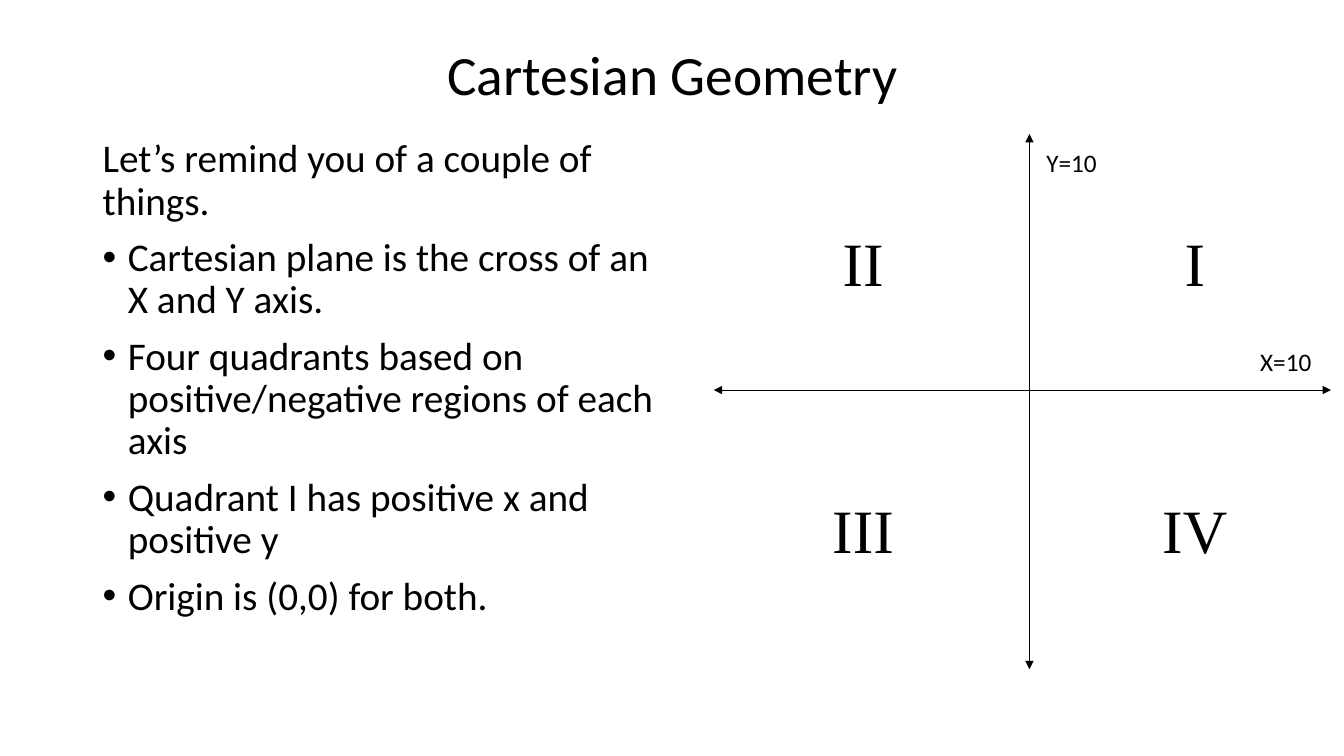
from dataclasses import dataclass

from lxml import etree
from pptx import Presentation
from pptx import util as u
from pptx.dml import color
from pptx.enum import shapes, text
from pptx.oxml import ns


@dataclass(frozen=True)
class Theme:
    ink: color.RGBColor = color.RGBColor(0, 0, 0)
    body_font: str = "Calibri"
    numeral_font: str = "Times New Roman"
    title_size: float = 39.6
    body_size: float = 28
    numeral_size: float = 44
    label_size: float = 18
    axis_width: float = 0.5


@dataclass(frozen=True)
class Label:
    words: str
    left: float
    top: float


@dataclass(frozen=True)
class Axis:
    start: tuple[float, float]
    end: tuple[float, float]


THEME = Theme()
NUMERAL_SIZE = (1.64, 0.84)
LABEL_SIZE = (0.75, 0.4)
LEFT_COLUMN, RIGHT_COLUMN = 7.74, 11.03
UPPER_ROW, LOWER_ROW = 2.18, 4.83

INTRODUCTION = "Let’s remind you of a couple of things."
POINTS = [
    "Cartesian plane is the cross of an X and Y axis.",
    "Four quadrants based on positive/negative regions of each axis",
    "Quadrant I has positive x and positive y",
    "Origin is (0,0) for both.",
]
AXES = [
    Axis((10.21, 1.33), (10.21, 6.64)),
    Axis((7.08, 3.87), (13.2, 3.87)),
]
QUADRANTS = [
    Label("I", RIGHT_COLUMN, UPPER_ROW),
    Label("II", LEFT_COLUMN, UPPER_ROW),
    Label("III", LEFT_COLUMN, LOWER_ROW),
    Label("IV", RIGHT_COLUMN, LOWER_ROW),
]
AXIS_LABELS = [Label("Y=10", 10.28, 1.41), Label("X=10", 12.4, 3.39)]


def add_text_frame(slide, left: float, top: float, width: float, height: float):
    box = slide.shapes.add_textbox(*map(u.Inches, (left, top, width, height)))
    box.text_frame.word_wrap = True
    return box.text_frame


def add_run(paragraph, words: str, size: float, font: str = THEME.body_font) -> None:
    run = paragraph.add_run()
    run.text = words
    run.font.size = u.Pt(size)
    run.font.name = font
    run.font.color.rgb = THEME.ink


def add_bullet(paragraph) -> None:
    properties = paragraph._p.get_or_add_pPr()
    indent = u.Inches(0.25)
    properties.set("marL", str(indent))
    properties.set("indent", str(-indent))
    etree.SubElement(properties, ns.qn("a:buFont"), typeface="Arial")
    etree.SubElement(properties, ns.qn("a:buChar"), char="•")


def add_axis(slide, axis: Axis) -> None:
    connector = slide.shapes.add_connector(
        shapes.MSO_CONNECTOR.STRAIGHT, *map(u.Inches, axis.start + axis.end)
    )
    connector.line.color.rgb = THEME.ink
    connector.line.width = u.Pt(THEME.axis_width)
    line = connector.line._get_or_add_ln()
    for arrowhead in ("a:headEnd", "a:tailEnd"):
        etree.SubElement(line, ns.qn(arrowhead), type="triangle")
    etree.SubElement(connector._element.spPr, ns.qn("a:effectLst"))


def add_title(slide) -> None:
    frame = add_text_frame(slide, 0.92, 0.4, 11.5, 0.73)
    frame.vertical_anchor = text.MSO_ANCHOR.MIDDLE
    paragraph = frame.paragraphs[0]
    paragraph.alignment = text.PP_ALIGN.CENTER
    paragraph.line_spacing = 0.9
    add_run(paragraph, "Cartesian Geometry", THEME.title_size)


def add_body(slide) -> None:
    frame = add_text_frame(slide, 0.92, 1.33, 5.67, 5.42)
    for index, words in enumerate([INTRODUCTION, *POINTS]):
        paragraph = frame.add_paragraph() if index else frame.paragraphs[0]
        paragraph.line_spacing = 0.9
        paragraph.space_before = u.Pt(10)
        if index:
            add_bullet(paragraph)
        add_run(paragraph, words, THEME.body_size)


def add_label(slide, label: Label, size: tuple[float, float], points: float,
              font: str, alignment: text.PP_ALIGN) -> None:
    frame = add_text_frame(slide, label.left, label.top, *size)
    frame.auto_size = text.MSO_AUTO_SIZE.SHAPE_TO_FIT_TEXT
    paragraph = frame.paragraphs[0]
    paragraph.alignment = alignment
    add_run(paragraph, label.words, points, font)


def main() -> None:
    presentation = Presentation()
    presentation.slide_width = u.Inches(13.33)
    presentation.slide_height = u.Inches(7.5)
    slide = presentation.slides.add_slide(presentation.slide_layouts[6])

    # Title and reminder list
    add_title(slide)
    add_body(slide)

    # Cartesian plane
    for axis in AXES:
        add_axis(slide, axis)
    for quadrant in QUADRANTS:
        add_label(slide, quadrant, NUMERAL_SIZE, THEME.numeral_size,
                  THEME.numeral_font, text.PP_ALIGN.CENTER)
    for axis_label in AXIS_LABELS:
        add_label(slide, axis_label, LABEL_SIZE, THEME.label_size,
                  THEME.body_font, text.PP_ALIGN.LEFT)

    presentation.save("out.pptx")


if __name__ == "__main__":
    main()
